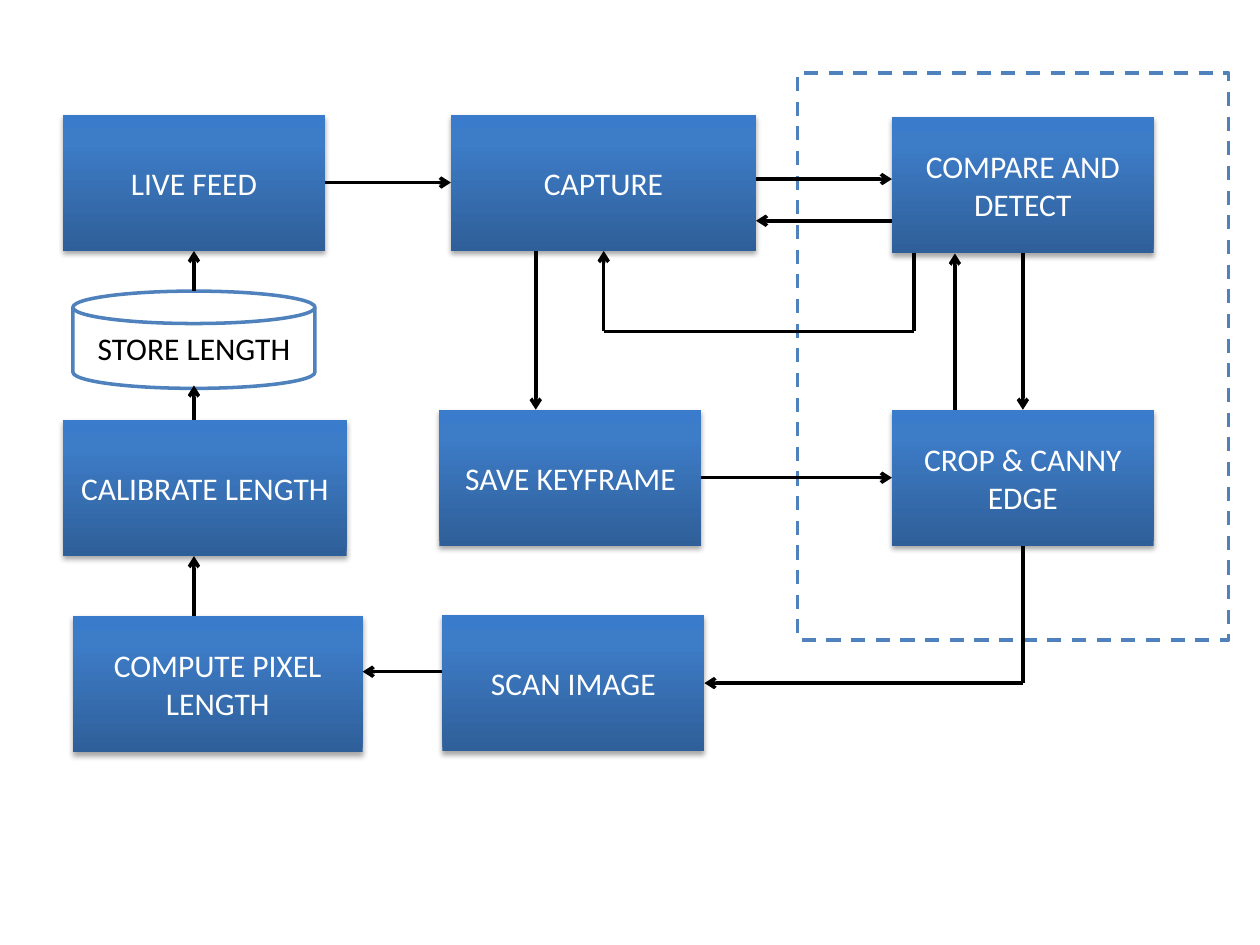
"""Build the video measurement flowchart slide."""
import copy
from dataclasses import dataclass

import lxml.etree
import pptx
import pptx.dml.color
import pptx.enum.dml
import pptx.enum.shapes
import pptx.enum.text
import pptx.oxml
import pptx.oxml.ns
import pptx.util

Cm, Pt = pptx.util.Cm, pptx.util.Pt
RGB = pptx.dml.color.RGBColor.from_string
MSO = pptx.enum.shapes.MSO_SHAPE
qn = pptx.oxml.ns.qn


@dataclass
class Theme:
    font: str = "Calibri"
    size: int = 18
    line: int = 2
    white: str = "FFFFFF"
    black: str = "000000"
    border: str = "4F81BD"
    gradient: tuple = ((0, "2F5F99"), (0.8, "3D7CC7"), (1, "3A7CCB"))


theme = Theme()
SHADOW = (
    f'<a:outerShdw {pptx.oxml.ns.nsdecls("a")} blurRad="40000" dist="23000" '
    'dir="5400000" rotWithShape="0"><a:srgbClr val="000000">'
    '<a:alpha val="35000"/></a:srgbClr></a:outerShdw>'
)


def add_outlined(kind, x, y, w, h):
    s = shapes.add_shape(kind, Cm(x), Cm(y), Cm(w), Cm(h))
    s.shadow.inherit = False
    s.fill.solid()
    s.fill.fore_color.rgb = RGB(theme.white)
    s.line.color.rgb = RGB(theme.border)
    s.line.width = Pt(theme.line)
    return s


def set_label(s, text, color):
    tf = s.text_frame
    tf.word_wrap = True
    tf.vertical_anchor = pptx.enum.text.MSO_ANCHOR.MIDDLE
    tf.text = text
    for p in tf.paragraphs:
        p.alignment = pptx.enum.text.PP_ALIGN.CENTER
        p.font.name = theme.font
        p.font.size = Pt(theme.size)
        p.font.color.rgb = RGB(color)


prs = pptx.Presentation()
prs.slide_width, prs.slide_height = Cm(25.4), Cm(19.05)
slide = prs.slides.add_slide(prs.slide_layouts[6])
shapes = slide.shapes

group_frame = add_outlined(MSO.RECTANGLE, 16.08, 1.47, 8.69, 11.43)
group_frame.line.dash_style = pptx.enum.dml.MSO_LINE.DASH

BOX_W, BOX_H = 5.28, 2.75
boxes = [
    ("LIVE FEED", 1.27, 2.31, BOX_W),
    ("CAPTURE", 9.09, 2.31, 6.15),
    ("CROP & CANNY EDGE", 17.98, 8.26, BOX_W),
    ("COMPARE AND DETECT", 17.98, 2.36, BOX_W),
    ("SAVE KEYFRAME", 8.86, 8.26, BOX_W),
    ("SCAN IMAGE", 8.92, 12.4, BOX_W),
    ("COMPUTE PIXEL\nLENGTH", 1.47, 12.42, 5.84),
    ("CALIBRATE LENGTH", 1.27, 8.46, 5.72),
]
for text, x, y, w in boxes:
    s = shapes.add_shape(MSO.RECTANGLE, Cm(x), Cm(y), Cm(w), Cm(BOX_H))
    s.fill.gradient()
    s.fill.gradient_angle = 90
    stops = s._element.spPr.find(qn("a:gradFill")).find(qn("a:gsLst"))
    stops.insert(1, copy.deepcopy(stops[0]))
    for stop, (position, color) in zip(s.fill.gradient_stops, theme.gradient):
        stop.position = position
        stop.color.rgb = RGB(color)
    s.line.fill.background()
    s.shadow.inherit = False
    effects = s._element.spPr.find(qn("a:effectLst"))
    effects.append(pptx.oxml.parse_xml(SHADOW))
    set_label(s, text, theme.white)

store = add_outlined(MSO.FLOWCHART_MAGNETIC_DISK, 1.47, 5.87, 4.88, 1.96)
set_label(store, "STORE LENGTH", theme.black)

routes = [
    [(15.24, 3.61), (17.98, 3.61)],
    [(20.62, 5.11), (20.62, 8.26)],
    [(19.25, 8.26), (19.25, 5.11)],
    [(17.98, 4.45), (15.24, 4.45)],
    [(6.55, 3.68), (9.09, 3.68)],
    [(18.42, 5.11), (18.42, 6.68), (12.17, 6.68), (12.17, 5.06)],
    [(10.8, 5.06), (10.8, 8.26)],
    [(14.14, 9.63), (17.98, 9.63)],
    [(20.62, 11.01), (20.62, 13.77), (14.2, 13.77)],
    [(8.92, 13.54), (7.31, 13.54)],
    [(3.91, 12.42), (3.91, 11.21)],
    [(3.91, 8.46), (3.91, 7.77)],
    [(3.91, 5.87), (3.91, 5.06)],
]
for route in routes:
    for start, end in zip(route, route[1:]):
        s = shapes.add_connector(
            pptx.enum.shapes.MSO_CONNECTOR.STRAIGHT, *map(Cm, start + end)
        )
        s.line.color.rgb = RGB(theme.black)
        s.line.width = Pt(theme.line)
        lxml.etree.SubElement(s._element.spPr, qn("a:effectLst"))
    ln = s.line._get_or_add_ln()
    lxml.etree.SubElement(ln, qn("a:tailEnd"), type="arrow")

prs.save("out.pptx")
